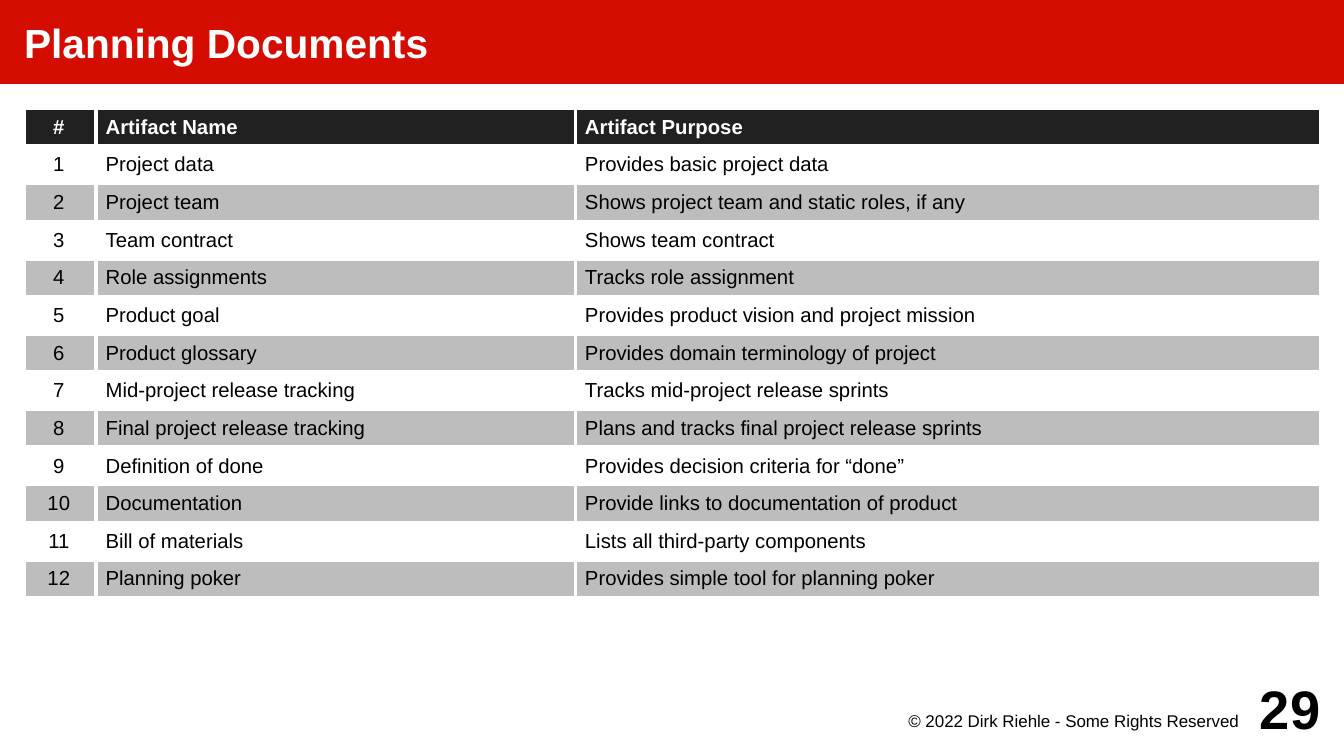
from lxml.etree import SubElement
from pptx import Presentation
from pptx.dml.color import RGBColor
from pptx.enum.text import MSO_ANCHOR, MSO_AUTO_SIZE, PP_ALIGN
from pptx.oxml.ns import qn
from pptx.util import Pt

ROWS = [
    ("#", "Artifact Name", "Artifact Purpose"),
    ("1", "Project data", "Provides basic project data"),
    ("2", "Project team", "Shows project team and static roles, if any"),
    ("3", "Team contract", "Shows team contract"),
    ("4", "Role assignments", "Tracks role assignment"),
    ("5", "Product goal", "Provides product vision and project mission"),
    ("6", "Product glossary", "Provides domain terminology of project"),
    ("7", "Mid-project release tracking", "Tracks mid-project release sprints"),
    ("8", "Final project release tracking", "Plans and tracks final project release sprints"),
    ("9", "Definition of done", "Provides decision criteria for “done”"),
    ("10", "Documentation", "Provide links to documentation of product"),
    ("11", "Bill of materials", "Lists all third-party components"),
    ("12", "Planning poker", "Provides simple tool for planning poker"),
]


def color(value):
    return RGBColor.from_string(value)


class Deck:
    font = "Arial"
    red, black, white = "D50D01", "000000", "FFFFFF"
    header, band = "212121", "BDBDBD"
    border = 2.27

    def __init__(self, width, height):
        self.prs = Presentation()
        self.prs.slide_width, self.prs.slide_height = Pt(width), Pt(height)
        self.s = None

    def slide(self):
        self.s = self.prs.slides.add_slide(self.prs.slide_layouts[5])

    def place(self, sp, left, top, width, height):
        sp.left, sp.top, sp.width, sp.height = Pt(left), Pt(top), Pt(width), Pt(height)

    def set_text(self, tf, text, size, ink, bold=False, align=PP_ALIGN.LEFT):
        p = tf.paragraphs[0]
        p.text = text
        p.alignment = align
        p.font.name = self.font
        p.font.size = Pt(size)
        p.font.bold = bold
        p.font.color.rgb = color(ink)

    def frame(self, tf, anchor, left=0, top=0, right=0, bottom=0):
        tf.word_wrap = True
        tf.auto_size = MSO_AUTO_SIZE.NONE
        tf.vertical_anchor = anchor
        tf.margin_left, tf.margin_top = Pt(left), Pt(top)
        tf.margin_right, tf.margin_bottom = Pt(right), Pt(bottom)

    def title(self, text, width, height):
        sp = self.s.shapes.title
        self.place(sp, 0, 0, width, height)
        sp.fill.solid()
        sp.fill.fore_color.rgb = color(self.red)
        self.frame(sp.text_frame, MSO_ANCHOR.MIDDLE, left=14.2)
        self.set_text(sp.text_frame, text, 24, self.white, bold=True)

    def text(self, text, box, size, bold=False, anchor=MSO_ANCHOR.TOP, top=0, right=0):
        sp = self.s.shapes.add_textbox(*(Pt(v) for v in box))
        self.frame(sp.text_frame, anchor, top=top, right=right)
        self.set_text(sp.text_frame, text, size, self.black, bold, PP_ALIGN.RIGHT)

    def cell_borders(self, cell):
        tcPr = cell._tc.get_or_add_tcPr()
        for side in ("lnL", "lnR", "lnT", "lnB"):
            ln = SubElement(tcPr, qn(f"a:{side}"), w=str(Pt(self.border)))
            SubElement(SubElement(ln, qn("a:solidFill")), qn("a:srgbClr"), val=self.white)

    def table(self, rows, left, top, widths, row_height):
        frame = self.s.shapes.add_table(
            len(rows), len(widths), Pt(left), Pt(top),
            Pt(sum(widths)), Pt(row_height * len(rows)))
        table = frame.table
        for column, width in zip(table.columns, widths):
            column.width = Pt(width)
        for i, row in enumerate(rows):
            table.rows[i].height = Pt(row_height)
            fill = self.header if i == 0 else (self.band, self.white)[i % 2]
            ink = self.white if i == 0 else self.black
            for j, text in enumerate(row):
                cell = table.cell(i, j)
                self.cell_borders(cell)
                cell.fill.solid()
                cell.fill.fore_color.rgb = color(fill)
                cell.vertical_anchor = MSO_ANCHOR.MIDDLE
                cell.margin_left, cell.margin_right = Pt(5.7), Pt(7.2)
                cell.margin_top = cell.margin_bottom = Pt(3.6)
                align = PP_ALIGN.CENTER if j == 0 else PP_ALIGN.LEFT
                self.set_text(cell.text_frame, text, 12, ink, bold=i == 0, align=align)


def main():
    deck = Deck(793.5, 446.4)
    deck.slide()
    deck.title("Planning Documents", 793.5, 49.6)
    deck.table(ROWS, 14.2, 64, (42.5, 283, 439.8), 22.25)
    deck.text("© 2022 Dirk Riehle - Some Rights Reserved",
              (510.2, 418.1, 226.8, 21.3), 10, top=1.4, right=5.7)
    deck.text("29", (722.8, 396.9, 56.7, 42.5), 32, bold=True, anchor=MSO_ANCHOR.MIDDLE)
    deck.prs.save("out.pptx")


if __name__ == "__main__":
    main()
